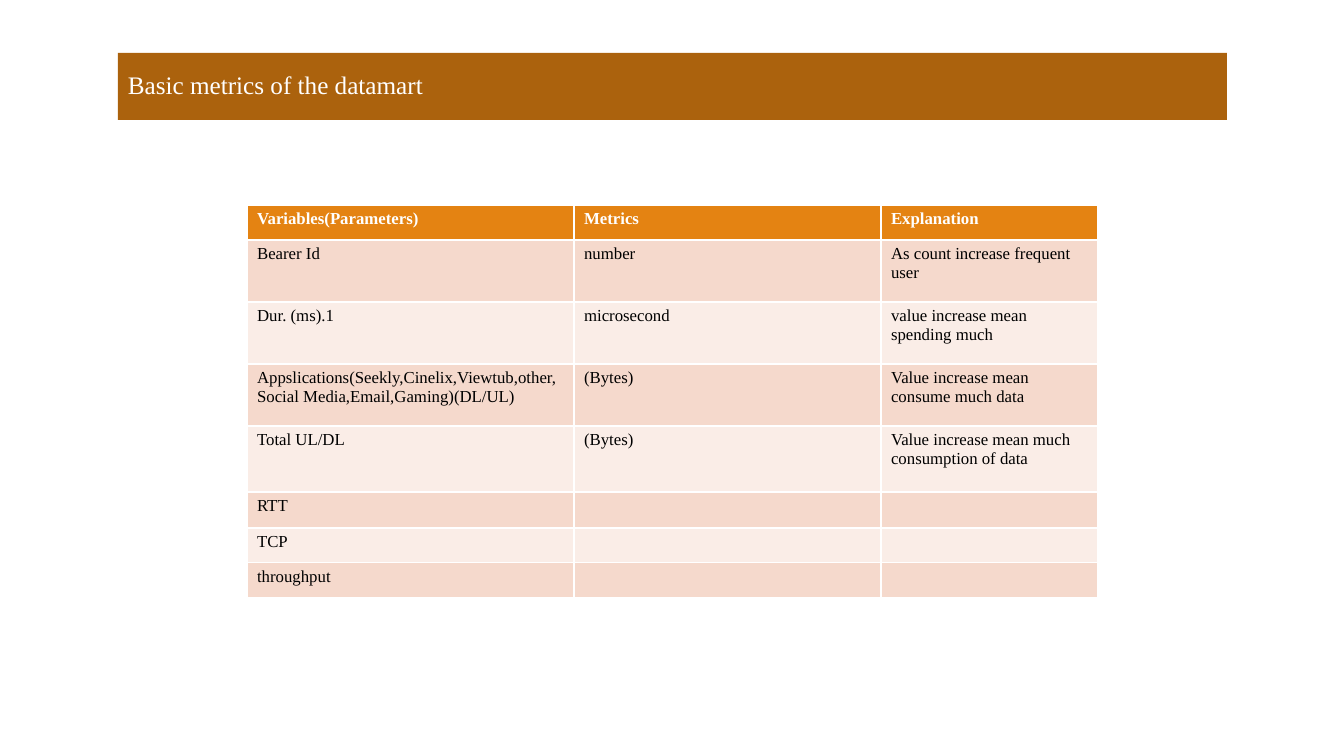
from dataclasses import dataclass

from lxml import etree
from pptx import Presentation
from pptx.dml.color import RGBColor
from pptx.enum.shapes import MSO_SHAPE
from pptx.enum.text import MSO_ANCHOR, PP_ALIGN
from pptx.oxml.ns import qn
from pptx.util import Pt

RECT = MSO_SHAPE.RECTANGLE
MIDDLE = MSO_ANCHOR.MIDDLE
LEFT = PP_ALIGN.LEFT

TITLE = "Basic metrics of the datamart"
HEAD = ("Variables(Parameters)", "Metrics", "Explanation")
BODY = [
    ("Bearer Id", "number", "As count increase frequent user"),
    ("Dur. (ms).1", "microsecond", "value increase mean spending much"),
    ("Appslications(Seekly,Cinelix,Viewtub,other,Social Media,Email,Gaming)(DL/UL)",
     "(Bytes)", "Value increase mean consume much data"),
    ("Total UL/DL", "(Bytes)", "Value increase mean much consumption of data"),
    ("RTT", "", ""),
    ("TCP", "", ""),
    ("throughput", "", ""),
]

# Lengths in px
PX = 9071  # EMU in one px, at 100.8 px to the inch
SLIDE = (1344, 756)
BANNER = (118, 53, 1109, 67)
GRID = (247, 205)
COLS = (327, 307, 217)
ROWS = (35, 62, 62, 62, 66, 36, 35, 35)


@dataclass(frozen=True)
class Theme:
    font: str = "Times New Roman"
    banner: str = "AB620D"
    head: str = "E48312"
    bands: tuple = ("F5D9CC", "FAEDE7")
    light: str = "FFFFFF"
    dark: str = "000000"
    title: int = 18
    cell: int = 12


THEME = Theme()


def px(*sizes):
    return [size * PX for size in sizes]


def paint(item, color):
    item.fill.solid()
    item.fill.fore_color.rgb = RGBColor.from_string(color)


def write(para, text, size, color, bold=False):
    run = para.add_run()
    run.text = text
    font = run.font
    font.name, font.size, font.bold = THEME.font, Pt(size), bold
    font.color.rgb = RGBColor.from_string(color)


def add_banner(slide):
    bar = slide.shapes.add_shape(RECT, *px(*BANNER))
    bar.shadow.inherit = False
    bar.line.fill.background()
    paint(bar, THEME.banner)
    frame = bar.text_frame
    frame.word_wrap = True
    frame.vertical_anchor = MIDDLE
    para = frame.paragraphs[0]
    para.alignment = LEFT
    para.line_spacing = 0.9
    write(para, TITLE, THEME.title, THEME.light)


def fill_cell(cell, text, back, color, bold):
    paint(cell, back)
    para = cell.text_frame.paragraphs[0]
    if text:
        write(para, text, THEME.cell, color, bold)
    else:  # an empty cell takes its line height from the end mark
        etree.SubElement(para._p, qn("a:endParaRPr"), sz=str(THEME.cell * 100))


def add_grid(slide):
    frame = slide.shapes.add_table(
        len(ROWS), len(COLS), *px(*GRID, sum(COLS), sum(ROWS)))
    table = frame.table
    for col, width in zip(table.columns, px(*COLS)):
        col.width = width
    for row, high in zip(table.rows, px(*ROWS)):
        row.height = high
    for r, texts in enumerate([HEAD, *BODY]):
        top = r == 0
        back = THEME.head if top else THEME.bands[(r - 1) % 2]
        color = THEME.light if top else THEME.dark
        for c, text in enumerate(texts):
            fill_cell(table.cell(r, c), text, back, color, top)


def main():
    deck = Presentation()
    deck.slide_width, deck.slide_height = px(*SLIDE)
    slide = deck.slides.add_slide(deck.slide_layouts[6])
    add_banner(slide)
    add_grid(slide)
    deck.save("out.pptx")


if __name__ == "__main__":
    main()
